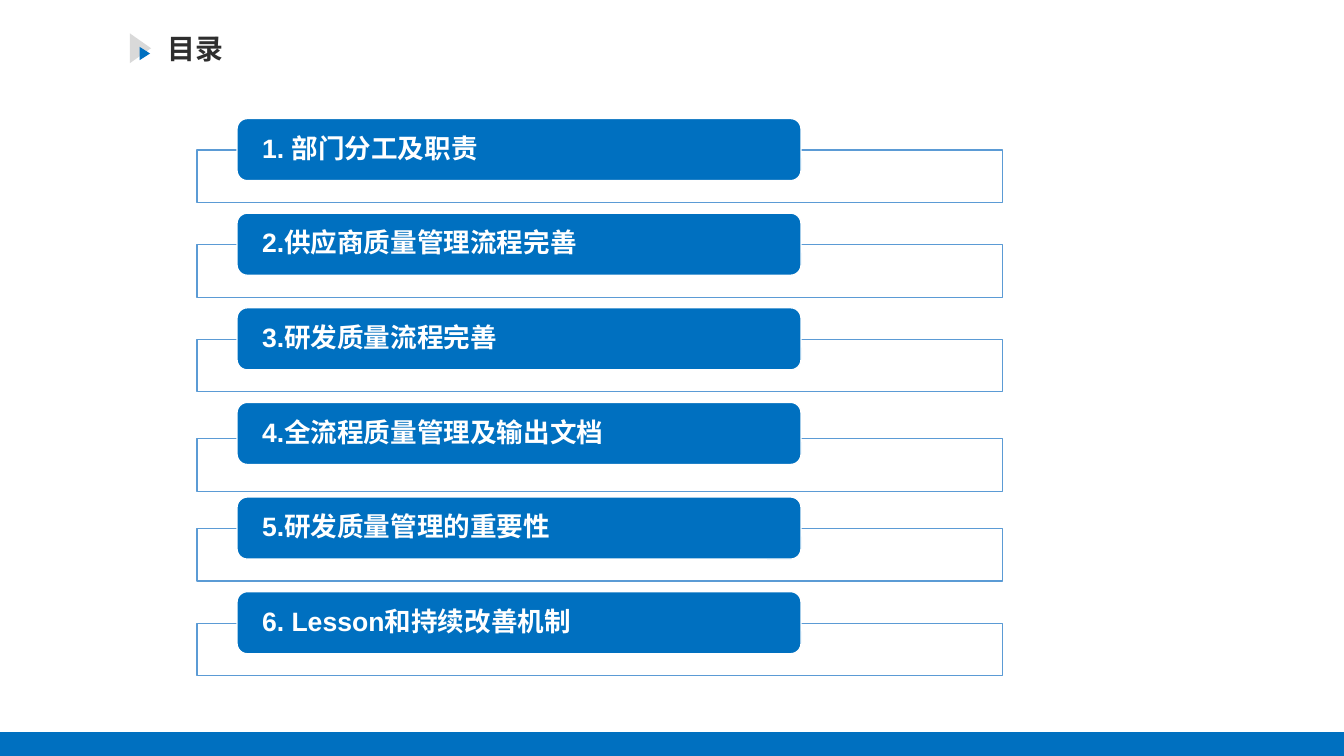
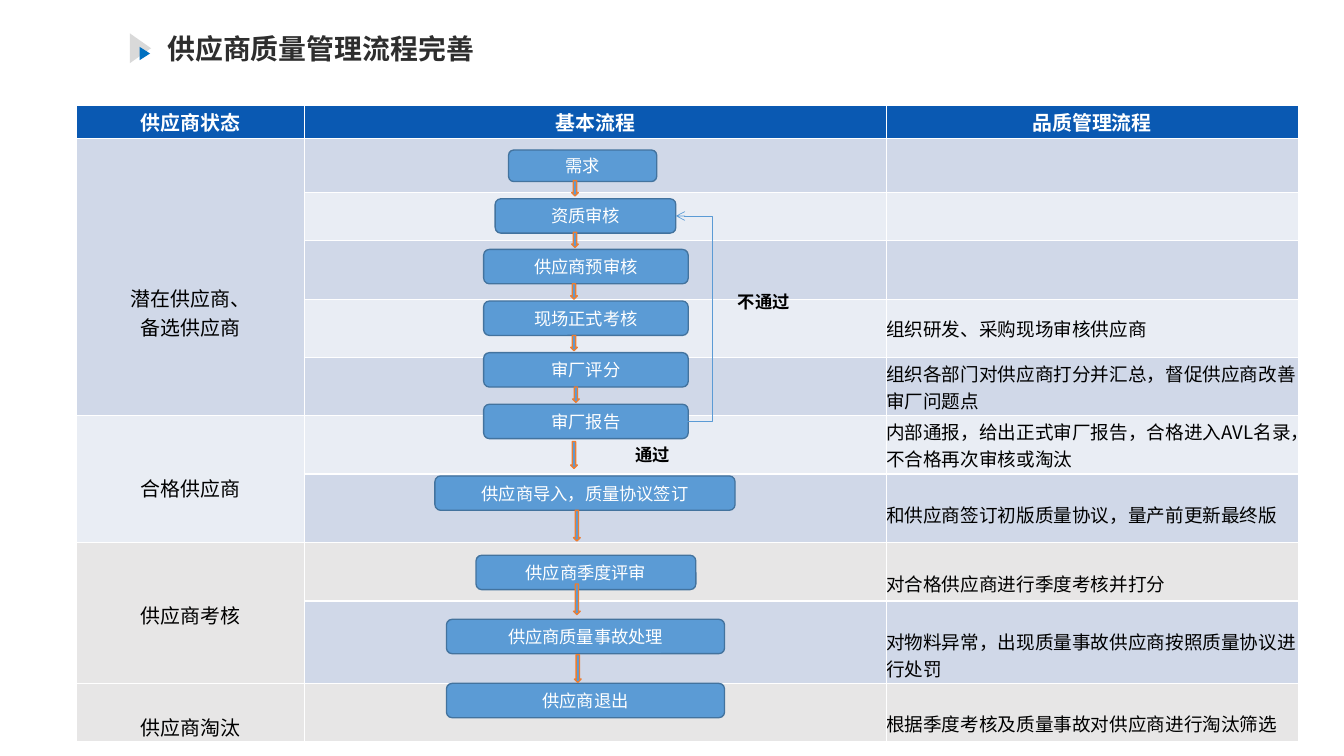
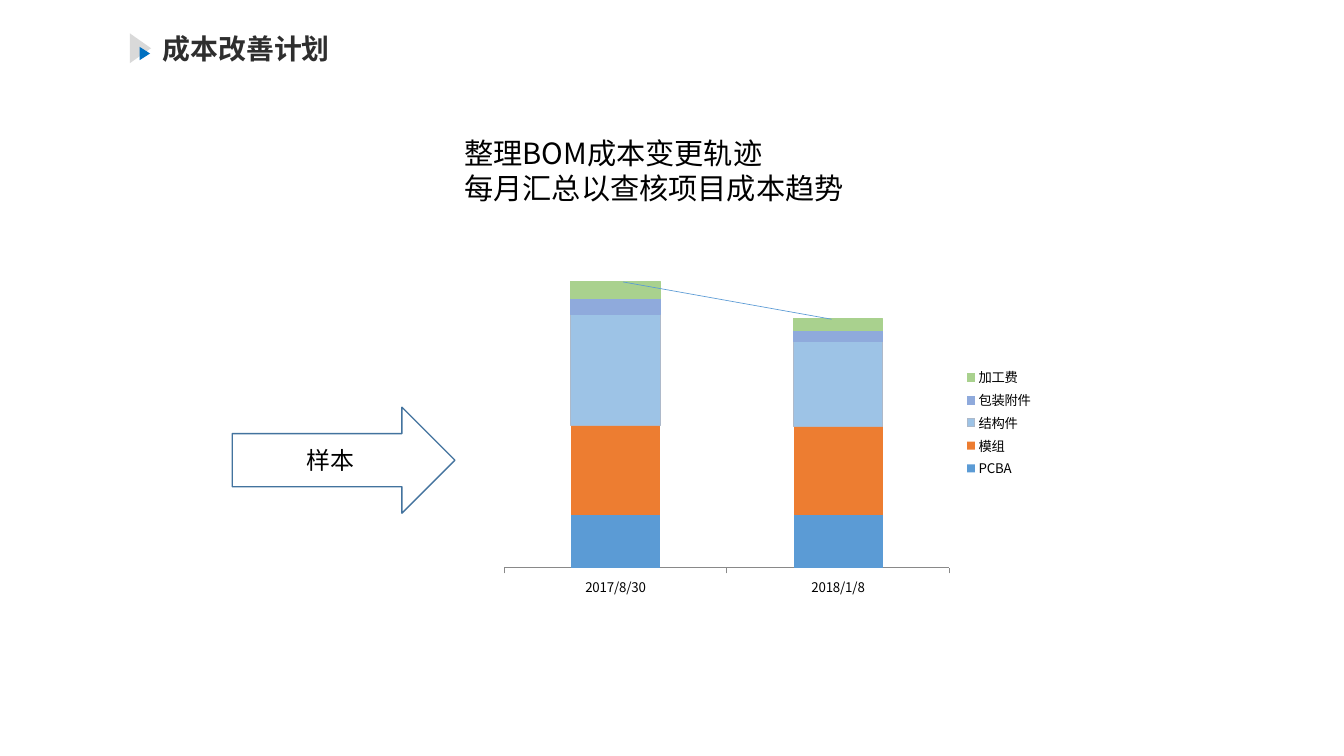
from lxml.etree import SubElement as Sub
from pptx import Presentation as Deck
from pptx.chart.data import CategoryChartData as Data
from pptx.dml.color import RGBColor as Color
from pptx.enum.chart import XL_CHART_TYPE as Kind, XL_LEGEND_POSITION as Place, XL_TICK_MARK as Tick
from pptx.enum.shapes import MSO_CONNECTOR as Link, MSO_SHAPE as Form
from pptx.enum.text import MSO_ANCHOR as Anchor, MSO_AUTO_SIZE as Fit, PP_ALIGN as Align
from pptx.oxml.ns import qn
from pptx.util import Inches, Pt

WHITE, BLACK, DARK, GREY = "FFFFFF", "000000", "2E2E2E", "D9D9D9"
BLUE, SKY, EDGE, ORANGE = "0070C0", "5B9BD5", "43739E", "ED7D31"
NAVY, MIST, PALE, STONE = "0A59B2", "D0D8E8", "E9EDF4", "E7E6E6"
ARIAL, NOTO = "Arial", "Noto Sans CJK SC"
WIDTH, HEIGHT = 14.06, 7.91
SLIM, WIDE = (0.11, 0.05), (0.14, 0.07)

TOPICS = ["1. 部门分工及职责", "2.供应商质量管理流程完善", "3.研发质量流程完善",
          "4.全流程质量管理及输出文档", "5.研发质量管理的重要性", "6. Lesson和持续改善机制"]

COLS = [2.39, 6.08, 4.31]
ROWS = [0.35, 0.56, 0.51, 0.61, 0.61, 0.61, 0.61, 0.72, 0.61, 0.86, 0.61]
HEADS = ["供应商状态", "基本流程", "品质管理流程"]
FILLS = [MIST, PALE, MIST, PALE, MIST, PALE, MIST, STONE, MIST, STONE]
STATES = [(1, 5, 1.52, ["潜在供应商、", "备选供应商"]), (6, 7, 0.6, ["合格供应商"]),
          (8, 9, 0.6, ["供应商考核"]), (10, 10, 0.3, ["供应商淘汰"])]
DUTIES = [(4, 0, "组织研发、采购现场审核供应商"),
          (5, 0, "组织各部门对供应商打分并汇总，督促供应商改善审厂问题点"),
          (6, 0, "内部通报，给出正式审厂报告，合格进入AVL名录，不合格再次审核或淘汰"),
          (7, 0.28, "和供应商签订初版质量协议，量产前更新最终版"),
          (8, 0.28, "对合格供应商进行季度考核并打分"),
          (9, 0.28, "对物料异常，出现质量事故供应商按照质量协议进行处罚"),
          (10, 0.28, "根据季度考核及质量事故对供应商进行淘汰筛选")]
STEPS = [("需求", 5.32, 1.57, 1.55, 0.33), ("资质审核", 5.18, 2.08, 1.89, 0.36),
         ("供应商预审核", 5.06, 2.61, 2.14, 0.36), ("现场正式考核", 5.06, 3.15, 2.14, 0.36),
         ("审厂评分", 5.06, 3.69, 2.14, 0.36), ("审厂报告", 5.06, 4.23, 2.14, 0.36),
         ("供应商导入，质量协议签订", 4.55, 4.98, 3.14, 0.36),
         ("供应商季度评审", 4.98, 5.81, 2.3, 0.36),
         ("供应商质量事故处理", 4.67, 6.48, 2.91, 0.36), ("供应商退出", 4.67, 7.15, 2.91, 0.36)]
DROPS = [(5.98, 1.89, 0.16), (5.98, 2.43, 0.16), (5.97, 2.97, 0.16), (5.97, 3.51, 0.16),
         (5.99, 4.05, 0.16), (5.97, 4.62, 0.28), (6, 5.34, 0.32), (6, 6.11, 0.32),
         (6.01, 6.85, 0.29)]

DATES = ["2017/8/30", "2018/1/8"]
COSTS = [("PCBA", (47, 47), SKY, None), ("模组", (81, 80), ORANGE, None),
         ("结构件", (100, 76), "9DC3E6", "ADB9CA"), ("包装附件", (14, 10), "8FAADC", "8FAADC"),
         ("加工费", (15, 11), "A9D18E", "A9D18E")]


def ink(code):
    return Color.from_string(code)


def paint(fill, code):
    if code:
        fill.solid()
        fill.fore_color.rgb = ink(code)
    else:
        fill.background()


def stroke(line, code, size=1):
    paint(line.fill, code)
    if code:
        line.width = Pt(size)


def write(frame, lines, size, color, font=NOTO, bold=False, align=Align.LEFT):
    for at, line in enumerate(lines):
        para = frame.paragraphs[0] if at == 0 else frame.add_paragraph()
        para.alignment = align
        for part in [line] if isinstance(line, str) else line:
            text, face = (part, font) if isinstance(part, str) else part
            run = para.add_run()
            run.text = text
            run.font.size = Pt(size)
            run.font.name = face
            run.font.bold = bold
            run.font.color.rgb = ink(color)
            Sub(run.font._element, qn("a:ea")).set("typeface", NOTO)


def pad(frame, ins):
    frame.margin_left = frame.margin_right = Inches(ins[0])
    frame.margin_top = frame.margin_bottom = Inches(ins[1])


def label(slide, box, lines, size, color, ins=SLIM, wrap=True, **style):
    frame = slide.shapes.add_textbox(*map(Inches, box)).text_frame
    pad(frame, ins)
    frame.word_wrap = wrap
    frame.auto_size = Fit.SHAPE_TO_FIT_TEXT
    write(frame, lines, size, color, **style)


def shape(slide, form, box, fill=None, edge=None):
    item = slide.shapes.add_shape(form, *map(Inches, box))
    item.shadow.inherit = False
    paint(item.fill, fill)
    stroke(item.line, edge)
    return item


def fill_in(item, text, size, color, ins, **style):
    frame = item.text_frame
    pad(frame, ins)
    frame.word_wrap = True
    frame.vertical_anchor = Anchor.MIDDLE
    write(frame, [text], size, color, **style)
    return frame


def wire(slide, kind, ends):
    line = slide.shapes.add_connector(kind, *map(Inches, ends))
    stroke(line.line, SKY, 0.5)
    Sub(line.element.spPr, qn("a:effectLst"))
    return line


def head(slide, line, left, width):
    label(slide, (left, 0.28, width, 0.46), [line], 21, DARK, wrap=False, font=ARIAL, bold=True)
    for box, fill in [((1.36, 0.35, 0.22, 0.31), GREY), ((1.46, 0.49, 0.11, 0.14), BLUE)]:
        mark = shape(slide, Form.RIGHT_ARROW, box, fill)
        mark.adjustments[1] = 1


def topic(slide, at, text):
    top = 1.24 + 0.99 * at
    drop = 0.38 if at == 3 else 0.33
    tray = shape(slide, Form.RECTANGLE, (2.06, top + drop, 8.43, 0.55), WHITE, SKY)
    tone = tray.element.spPr.find(qn("a:solidFill"))[0]
    Sub(tone, qn("a:alpha")).set("val", "90000")
    card = shape(slide, Form.ROUNDED_RECTANGLE, (2.48, top, 5.9, 0.65), BLUE, WHITE)
    frame = fill_in(card, text, 20, WHITE, (0.23, 0), font=ARIAL, bold=True)
    frame.paragraphs[0].line_spacing = 0.9


def frame_cell(cell, fill, row):
    props = cell._tc.get_or_add_tcPr()
    for side in "LRTB":
        thick = (row, side) in ((0, "B"), (1, "T"))
        line = Sub(props, qn("a:ln" + side), w=str(Pt(1.5 if thick else 1)))
        Sub(Sub(line, qn("a:solidFill")), qn("a:srgbClr")).set("val", WHITE)
    paint(cell.fill, fill)


def fill_cell(cell, lines, size, color, top=0, **style):
    pad(cell, (0, 0))
    cell.margin_top = Inches(top)
    write(cell.text_frame, lines, size, color, **style)


def grid(slide):
    box = (0.8, 1.1, sum(COLS), sum(ROWS))
    table = slide.shapes.add_table(len(ROWS), len(COLS), *map(Inches, box)).table
    for col, width in zip(table.columns, COLS):
        col.width = Inches(width)
    for row, height in zip(table.rows, ROWS):
        row.height = Inches(height)
    for row, fill in enumerate([NAVY] + FILLS):
        for col in range(len(COLS)):
            frame_cell(table.cell(row, col), fill, row)
    for col, text in enumerate(HEADS):
        cell = table.cell(0, col)
        fill_cell(cell, [text], 15, WHITE, bold=True, align=Align.CENTER)
        cell.vertical_anchor = Anchor.MIDDLE
    for first, last, top, lines in STATES:
        cell = table.cell(first, 0)
        if last > first:
            cell.merge(table.cell(last, 0))
        fill_cell(cell, lines, 15, BLACK, top, align=Align.CENTER)
    for row, top, text in DUTIES:
        cell = table.cell(row, 2)
        fill_cell(cell, [text], 14, BLACK, top)
        cell.vertical_anchor = Anchor.TOP if top else Anchor.MIDDLE


def flow(slide):
    for text, *box in STEPS:
        step = shape(slide, Form.ROUNDED_RECTANGLE, box, SKY, EDGE)
        fill_in(step, text, 13, WHITE, WIDE, font=ARIAL, align=Align.CENTER)
    for left, top, height in DROPS:
        shape(slide, Form.DOWN_ARROW, (left, top, 0.07, height), SKY, ORANGE)
    loop = wire(slide, Link.ELBOW, (7.19, 4.41, 7.07, 2.26))
    props = loop.element.spPr
    bend = props.find(qn("a:prstGeom")).find(qn("a:avLst"))
    Sub(bend, qn("a:gd"), name="adj1", fmla="val -220000")
    Sub(props.find(qn("a:ln")), qn("a:tailEnd")).set("type", "arrow")
    for text, left, top in [("不通过", 7.58, 2.98), ("通过", 6.51, 4.58)]:
        label(slide, (left, top, 1, 0.36), [text], 13, BLACK, WIDE, bold=True)


def set_plot(chart, **sides):
    area = chart.element.find(".//" + qn("c:plotArea"))
    for old in area.findall(qn("c:layout")):
        area.remove(old)
    layout = Sub(area, qn("c:layout"))
    area.insert(0, layout)
    manual = Sub(layout, qn("c:manualLayout"))
    marks = {"layoutTarget": "inner", "xMode": "edge", "yMode": "edge", **sides}
    for name, value in marks.items():
        Sub(manual, qn("c:" + name)).set("val", str(value))


def cost_chart(slide):
    data = Data()
    data.categories = DATES
    for name, values, *_ in COSTS:
        data.add_series(name, values)
    box = map(Inches, (5.16, 2.53, 5.75, 3.79))
    chart = slide.shapes.add_chart(Kind.COLUMN_STACKED, *box, data).chart
    chart.has_title = False
    chart.font.size = Pt(10)
    chart.font.name = NOTO
    chart.font.color.rgb = ink(BLACK)
    chart.has_legend = True
    chart.legend.position = Place.RIGHT
    chart.legend.include_in_layout = False
    plot = chart.plots[0]
    plot.gap_width, plot.overlap = 150, 100
    plot.vary_by_categories = False
    for bar, (_, _, fill, edge) in zip(plot.series, COSTS):
        paint(bar.format.fill, fill)
        stroke(bar.format.line, edge, 0.75)
    scale, dates = chart.value_axis, chart.category_axis
    scale.visible = False
    scale.has_major_gridlines = False
    scale.minimum_scale, scale.maximum_scale = 0, 280
    dates.major_tick_mark = Tick.OUTSIDE
    stroke(dates.format.line, "898989", 0.75)
    set_plot(chart, x=0.02, y=0.04, w=0.81, h=0.86)


def main():
    deck = Deck()
    deck.slide_width, deck.slide_height = Inches(WIDTH), Inches(HEIGHT)
    index, supply, cost = [deck.slides.add_slide(deck.slide_layouts[6]) for _ in range(3)]

    head(index, "目录", 1.64, 0.9)
    shape(index, Form.RECTANGLE, (0, 7.66, WIDTH, 0.25), BLUE)
    for at, text in enumerate(TOPICS):
        topic(index, at, text)

    grid(supply)
    flow(supply)
    head(supply, "供应商质量管理流程完善", 1.64, 3.45)

    label(cost, (4.75, 1.37, 7.03, 0.86), ["整理BOM成本变更轨迹", "每月汇总以查核项目成本趋势"],
          22, BLACK)
    arrow = shape(cost, Form.RIGHT_ARROW, (2.43, 4.26, 2.33, 1.11), edge=EDGE)
    fill_in(arrow, "样本", 18, BLACK, SLIM, align=Align.CENTER)
    cost_chart(cost)
    wire(cost, Link.STRAIGHT, (6.52, 2.95, 8.7, 3.34))
    head(cost, ["成本", ("改善", NOTO), "计划"], 1.59, 1.99)

    deck.save("out.pptx")


if __name__ == "__main__":
    main()
